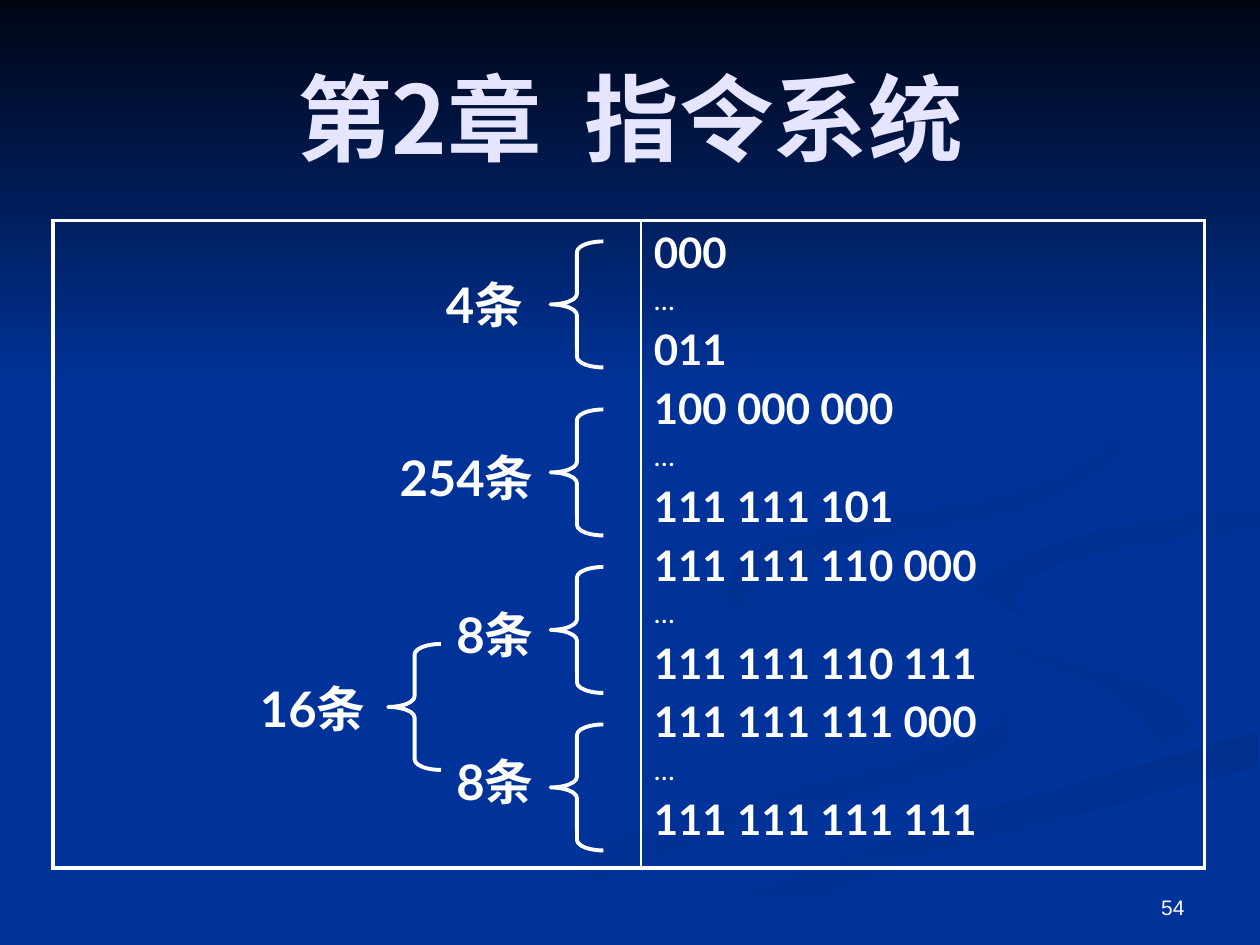
from dataclasses import dataclass
from typing import Any, NamedTuple

from lxml import etree
from pptx import Presentation
from pptx.dml.color import RGBColor
from pptx.enum.shapes import MSO_SHAPE
from pptx.enum.text import MSO_ANCHOR, MSO_AUTO_SIZE, PP_ALIGN
from pptx.oxml.ns import qn
from pptx.util import Pt

LEFT_BRACE = MSO_SHAPE.LEFT_BRACE
TOP, MIDDLE, BOTTOM = MSO_ANCHOR.TOP, MSO_ANCHOR.MIDDLE, MSO_ANCHOR.BOTTOM
CENTER, RIGHT = PP_ALIGN.CENTER, PP_ALIGN.RIGHT
GROW, FIXED = MSO_AUTO_SIZE.SHAPE_TO_FIT_TEXT, MSO_AUTO_SIZE.NONE

Point = tuple[float, float]


@dataclass(frozen=True)
class Theme:
    background: str = "003399"
    night: str = "000514"
    wave: str = "002F8E"
    pale_wave: str = "003193"
    title: str = "E5E5FF"
    white: str = "FFFFFF"
    latin: str = "Lato"
    asian: str = "Noto Sans CJK SC"
    number_font: str = "Arial"
    title_size: int = 54
    label_size: int = 28
    code_size: int = 24
    dots_size: int = 16
    number_size: int = 12
    thick: float = 2.25
    thin: float = 1


class Box(NamedTuple):
    left: float
    top: float
    width: float
    height: float


class Outline(NamedTuple):
    points: list[Point]
    start: str
    end: str
    angle: int
    curved: bool = True


class Label(NamedTuple):
    text: str
    box: Box


THEME = Theme()

BACKDROP = [
    Outline([(562, 398), (491, 374), (428, 350), (414, 330), (415, 346), (471, 369), (562, 400),
             (557, 420), (444, 453), (330, 485), (216, 539), (260, 539), (406, 479), (554, 438),
             (576, 418)], THEME.background, THEME.pale_wave, 0),
    Outline([(679, 410), (652, 389), (546, 358), (521, 334), (532, 356), (625, 392), (660, 421),
             (644, 436), (677, 418)], THEME.background, THEME.pale_wave, 45),
    Outline([(362, 539), (411, 539), (520, 491), (719, 438), (719, 418), (550, 466), (454, 499)],
            THEME.wave, THEME.background, 90, False),
    Outline([(562, 331), (569, 344), (595, 357), (580, 343), (596, 326), (645, 313), (719, 302),
             (719, 289), (621, 305)], THEME.wave, THEME.background, 45),
    Outline([(492, 310), (594, 289), (644, 248), (607, 198), (549, 168), (609, 201), (640, 241),
             (589, 278), (450, 307), (416, 337), (448, 360), (427, 338)],
            THEME.wave, THEME.background, 45),
    Outline([(0, 0), (0, 222), (720, 222), (720, 0)], THEME.night, THEME.background, 90, False),
]

CODE_RANGES = [
    ("000", "011"),
    ("100 000 000", "111 111 101"),
    ("111 111 110 000", "111 111 110 111"),
    ("111 111 111 000", "111 111 111 111"),
]
BRACES = [(314.6, 138), (314.6, 234), (314.6, 324), (314.6, 414), (221.8, 368)]
LABELS = [
    Label("4条", Box(120, 153.4, 186, 41)),
    Label("254条", Box(120, 252, 192, 41)),
    Label("8条", Box(246, 342, 66, 41)),
    Label("8条", Box(246, 426, 66, 41)),
    Label("16条", Box(108, 384, 108, 41)),
]


def apply(target: Any, values: dict[str, Any]) -> None:
    for name, value in values.items():
        setattr(target, name, value)


def place(box: Box) -> dict[str, Any]:
    return {name: Pt(value) for name, value in box._asdict().items()}


def write(paragraph: Any, text: str, size: int, color: str = THEME.white,
          name: str = THEME.latin, bold: bool = True) -> None:
    run = paragraph.add_run()
    run.text = text
    apply(run.font, {"size": Pt(size), "name": name, "bold": bold})
    run.font.color.rgb = RGBColor.from_string(color)
    etree.SubElement(run.font._element, qn("a:ea"), typeface=THEME.asian)


def blend(a: float, b: float, c: float, d: float, t: float) -> float:
    bend = (2 * a - 5 * b + 4 * c - d) * t + (3 * b - a - 3 * c + d) * t * t
    return b + t * (c - a + bend) / 2


def smooth(points: list[Point], steps: int = 6) -> list[Point]:
    curve = []
    for index in range(len(points)):
        knots = [points[(index + offset) % len(points)] for offset in (-1, 0, 1, 2)]
        across, down = zip(*knots)
        for step in range(steps):
            x, y = blend(*across, step / steps), blend(*down, step / steps)
            curve.append((min(x, 720), min(y, 540)))
    return curve


def draw_outline(slide: Any, outline: Outline) -> None:
    path = smooth(outline.points) if outline.curved else outline.points
    points = [(Pt(x), Pt(y)) for x, y in path]
    builder = slide.shapes.build_freeform(*points[0], scale=1.0)
    builder.add_line_segments(points[1:], close=True)
    shape = builder.convert_to_shape()
    shape.shadow.inherit = False
    shape.line.fill.background()
    shape.fill.gradient()
    shape.fill.gradient_angle = -outline.angle % 360
    for stop, color in zip(shape.fill.gradient_stops, (outline.start, outline.end)):
        stop.color.rgb = RGBColor.from_string(color)


def draw_text(slide: Any, label: Label, size: int, name: str = THEME.latin,
              bold: bool = True, anchor: Any = TOP, fit: Any = GROW) -> None:
    frame = slide.shapes.add_textbox(*place(label.box).values()).text_frame
    apply(frame, {"word_wrap": True, "auto_size": fit, "vertical_anchor": anchor})
    frame.paragraphs[0].alignment = RIGHT
    write(frame.paragraphs[0], label.text, size, name=name, bold=bold)


def draw_brace(slide: Any, left: float, top: float) -> None:
    brace = slide.shapes.add_shape(LEFT_BRACE, *place(Box(left, top, 30.2, 72)).values())
    brace.shadow.inherit = False
    brace.fill.background()
    brace.line.color.rgb = RGBColor.from_string(THEME.white)
    brace.line.width = Pt(THEME.thick)
    brace.adjustments[0] = 0.2


def border_cell(cell: Any, widths: dict[str, float]) -> None:
    cell.fill.background()
    properties = cell._tc.get_or_add_tcPr()
    for position, (side, width) in enumerate(widths.items()):
        line = etree.Element(qn(f"a:ln{side}"), w=str(Pt(width)))
        fill = etree.SubElement(line, qn("a:solidFill"))
        etree.SubElement(fill, qn("a:srgbClr"), val=THEME.white)
        properties.insert(position, line)


def draw_table(slide: Any) -> None:
    box = Box(30.2, 126, 658.1, 370.1)
    table = slide.shapes.add_table(1, 2, *place(box).values()).table
    apply(table, {"first_row": False, "horz_banding": False})
    for column, width in zip(table.columns, (336.2, 321.9)):
        column.width = Pt(width)
    thick, thin = THEME.thick, THEME.thin
    border_cell(table.cell(0, 0), {"L": thick, "R": thin, "T": thick, "B": thick})
    border_cell(table.cell(0, 1), {"L": thin, "R": thick, "T": thick, "B": thick})
    frame = table.cell(0, 1).text_frame
    lines = [line for first, last in CODE_RANGES for line in (first, "…", last)]
    for index, line in enumerate(lines):
        paragraph = frame.add_paragraph() if index else frame.paragraphs[0]
        size = THEME.dots_size if line == "…" else THEME.code_size
        paragraph.space_before = Pt(0.2 * size)
        write(paragraph, line, size, bold=line != "…")


def draw_title(slide: Any) -> None:
    title = slide.shapes.title
    title._element.getparent().append(title._element)
    apply(title, place(Box(36, 21.6, 648, 90)))
    apply(title.text_frame, {"vertical_anchor": MIDDLE, "auto_size": FIXED})
    paragraph = title.text_frame.paragraphs[0]
    paragraph.alignment = CENTER
    write(paragraph, "第2章  指令系统", THEME.title_size, THEME.title, THEME.asian)


def main() -> None:
    presentation = Presentation()
    apply(presentation, {"slide_width": Pt(720), "slide_height": Pt(540)})
    slide = presentation.slides.add_slide(presentation.slide_layouts[5])
    slide.background.fill.solid()
    slide.background.fill.fore_color.rgb = RGBColor.from_string(THEME.background)
    for outline in BACKDROP:
        draw_outline(slide, outline)
    draw_text(slide, Label("54", Box(516.2, 491.8, 167.8, 37.4)), THEME.number_size,
              THEME.number_font, False, BOTTOM, FIXED)
    draw_title(slide)
    draw_table(slide)
    for left, top in BRACES:
        draw_brace(slide, left, top)
    for label in LABELS:
        draw_text(slide, label, THEME.label_size)
    presentation.save("out.pptx")


if __name__ == "__main__":
    main()
